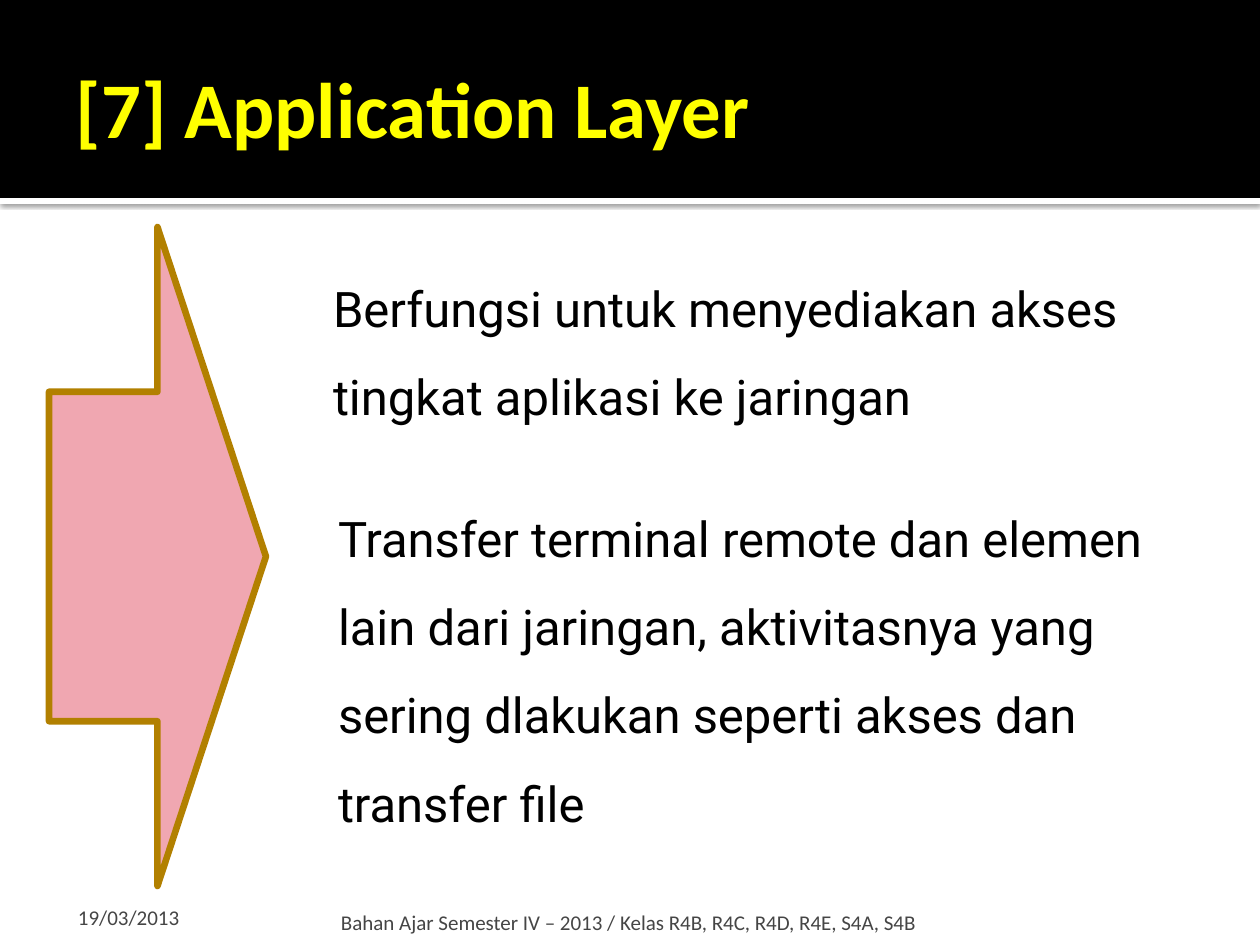
from dataclasses import dataclass

from lxml.etree import SubElement
from pptx import Presentation
from pptx.dml.color import RGBColor
from pptx.enum.shapes import MSO_SHAPE
from pptx.enum.text import MSO_ANCHOR
from pptx.oxml.ns import qn
from pptx.util import Emu, Pt

PX_PER_INCH = 126


@dataclass(frozen=True)
class Theme:
    black: str = "000000"
    white: str = "FFFFFF"
    title: str = "FFFF00"
    footer: str = "454545"
    arrow_fill: str = "F0A7B1"
    arrow_line: str = "B28000"
    heading_font: str = "Calibri"
    body_font: str = "Roboto"
    title_size: int = 45
    body_size: int = 28
    footer_size: int = 12


THEME = Theme()


def px(n):
    return Emu(round(n * 914400 / PX_PER_INCH))


def rgb(value):
    return RGBColor.from_string(value)


def add_block(slide, kind, box, fill, line=None, line_width=0):
    sp = slide.shapes.add_shape(kind, *map(px, box))
    sp.shadow.inherit = False
    sp.fill.solid()
    sp.fill.fore_color.rgb = rgb(fill)
    if line:
        sp.line.color.rgb = rgb(line)
        sp.line.width = Pt(line_width)
    else:
        sp.line.fill.background()
    return sp


def add_shadow(sp, color, opacity, blur, distance, angle):
    effects = sp._element.spPr.find(qn("a:effectLst"))
    shadow = SubElement(effects, qn("a:outerShdw"), blurRad=str(Pt(blur)),
                        dist=str(Pt(distance)), dir=str(angle * 60000),
                        algn="t", rotWithShape="0")
    clr = SubElement(shadow, qn("a:srgbClr"), val=color)
    SubElement(clr, qn("a:alpha"), val=str(opacity * 1000))


def add_text(slide, box, text, font, size, color, insets,
             anchor=MSO_ANCHOR.TOP, bold=False, spacing=None):
    tf = slide.shapes.add_textbox(*map(px, box)).text_frame
    tf.word_wrap = True
    tf.vertical_anchor = anchor
    tf.margin_left, tf.margin_top, tf.margin_right, tf.margin_bottom = map(px, insets)
    p = tf.paragraphs[0]
    p.text = text
    p.line_spacing = spacing
    p.font.name = font
    p.font.size = Pt(size)
    p.font.bold = bold
    p.font.color.rgb = rgb(color)


def add_body(slide, box, text, insets):
    add_text(slide, box, text, THEME.body_font, THEME.body_size, THEME.black,
             insets, spacing=1.5)


def add_footer(slide, box, text, inset_left):
    add_text(slide, box, text, THEME.heading_font, THEME.footer_size,
             THEME.footer, (inset_left, 6, 6, 0), MSO_ANCHOR.BOTTOM)


def main():
    prs = Presentation()
    prs.slide_width, prs.slide_height = px(1260), px(945)
    slide = prs.slides.add_slide(prs.slide_layouts[6])

    # Header band with a shadowed white edge
    edge = add_block(slide, MSO_SHAPE.RECTANGLE, (0, 198, 1260, 6), THEME.white)
    add_shadow(edge, THEME.black, opacity=60, blur=2.5, distance=0.8, angle=90)
    add_block(slide, MSO_SHAPE.RECTANGLE, (0, 0, 1260, 198), THEME.black)
    add_text(slide, (63, 21, 1134, 173), "[7] Application Layer",
             THEME.heading_font, THEME.title_size, THEME.title,
             (13, 6, 6, 6), MSO_ANCHOR.MIDDLE, bold=True)

    # Arrow pointing to the explanation
    add_block(slide, MSO_SHAPE.RIGHT_ARROW, (49, 227, 217, 659),
              THEME.arrow_fill, THEME.arrow_line, 3.78)

    # Explanation
    add_body(slide, (325, 236, 837, 207),
             "Berfungsi untuk menyediakan akses tingkat aplikasi ke jaringan",
             (8, 13, 13, 6))
    add_body(slide, (325, 473, 837, 266),
             "Transfer terminal remote dan elemen lain dari jaringan, "
             "aktivitasnya yang sering dlakukan seperti akses dan transfer file",
             (13, 6, 13, 6))

    # Footer
    add_footer(slide, (63, 892, 294, 38), "19/03/2013", 15)
    add_footer(slide, (335, 885, 672, 50),
               "Bahan Ajar Semester IV – 2013 / Kelas R4B, R4C, R4D, R4E, S4A, S4B", 6)

    prs.save("out.pptx")


if __name__ == "__main__":
    main()
